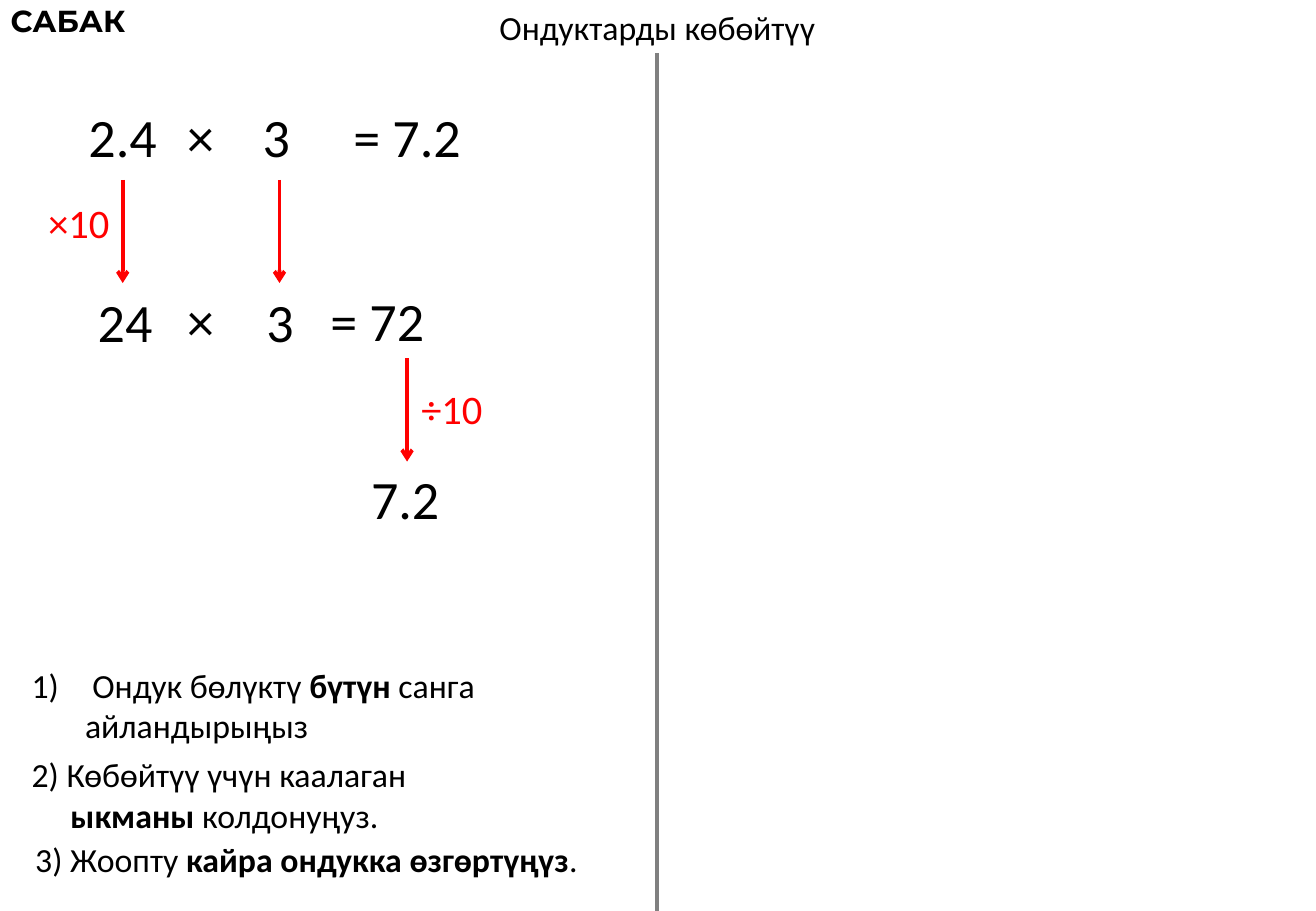
from lxml import etree
from pptx import Presentation
from pptx.dml.color import RGBColor
from pptx.enum.shapes import MSO_CONNECTOR
from pptx.enum.text import MSO_ANCHOR, MSO_AUTO_SIZE, PP_ALIGN
from pptx.oxml.ns import qn
from pptx.util import Inches, Pt

LEFT, CENTER, RIGHT = PP_ALIGN.LEFT, PP_ALIGN.CENTER, PP_ALIGN.RIGHT
BLACK, RED, GRAY = "000000", "FF0000", "808080"

TITLE = "Ондуктарды көбөйтүү"
LESSON = "САБАК"

# text, left, top, width, alignment
NUMBERS = [
    ("2.4", 0.62, 0.8, 0.77, RIGHT),
    ("×", 1.43, 0.8, 0.43, RIGHT),
    ("3", 2.06, 0.8, 0.43, CENTER),
    ("= 7.2", 2.81, 0.8, 1.1, LEFT),
    ("24", 0.7, 2.33, 0.66, CENTER),
    ("×", 1.43, 2.32, 0.43, RIGHT),
    ("3", 2.09, 2.33, 0.43, CENTER),
    ("= 72", 2.62, 2.32, 0.98, LEFT),
    ("7.2", 2.95, 3.78, 0.77, CENTER),
]
FACTORS = [("×10", 0.29, 1.58, 0.71, RIGHT), ("÷10", 3.36, 3.11, 0.71, RIGHT)]

# x, top
ARROWS = [(1.01, 1.48), (2.3, 1.48), (3.35, 2.95)]
ARROW_LENGTH = 0.85

# left margin, first-line indent, space before, numbered, runs of (text, bold)
STEP_LINES = [
    (0.5, -0.5, 0, True, [("Ондук бөлүктү ", False), ("бүтүн", True), (" санга", False)]),
    (0.44, 0, 0, False, [("айландырыңыз", False)]),
    (0, 0, 5, False, [("2) Көбөйтүү үчүн каалаган", False)]),
    (0.32, 0, 0, False, [("ыкманы", True), (" колдонуңуз.", False)]),
    (0.03, 0, 2, False, [("3) Жоопту ", False), ("кайра ондукка өзгөртүңүз", True), (".", False)]),
]


def rgb(value):
    return RGBColor.from_string(value)


def set_font(font, size, color=BLACK, name="Calibri", bold=False):
    for key, value in {"size": Pt(size), "name": name, "bold": bold}.items():
        setattr(font, key, value)
    font.color.rgb = rgb(color)


def place(shape, left, top, width, height):
    for key, value in {"left": left, "top": top, "width": width, "height": height}.items():
        setattr(shape, key, Inches(value))


def add_label(text, left, top, width, height, align, **font_format):
    box = slide.shapes.add_textbox(*map(Inches, (left, top, width, height)))
    box.text_frame.word_wrap = False
    paragraph = box.text_frame.paragraphs[0]
    paragraph.text = text
    paragraph.alignment = align
    set_font(paragraph.runs[0].font, **font_format)


def add_vertical(x, top, bottom, color, arrow=False):
    line = slide.shapes.add_connector(
        MSO_CONNECTOR.STRAIGHT, Inches(x), Inches(top), Inches(x), Inches(bottom))
    line.line.color.rgb = rgb(color)
    line.line.width = Pt(2.25)
    if arrow:
        etree.SubElement(line.line._get_or_add_ln(), qn("a:tailEnd"), type="arrow")
    etree.SubElement(line._element.spPr, qn("a:effectLst"))


def add_step_line(paragraph, margin, indent, space_before, numbered, runs):
    properties = paragraph._p.get_or_add_pPr()
    properties.set("marL", str(Inches(margin)))
    properties.set("indent", str(Inches(indent)))
    if numbered:
        etree.SubElement(properties, qn("a:buFont"), typeface="+mj-lt")
        etree.SubElement(properties, qn("a:buAutoNum"), type="arabicParenR")
    else:
        etree.SubElement(properties, qn("a:buNone"))
    paragraph.space_before = Pt(space_before)
    for text, bold in runs:
        run = paragraph.add_run()
        run.text = text
        set_font(run.font, 20, bold=bold)


prs = Presentation()
prs.slide_width, prs.slide_height = Inches(10.83), Inches(7.5)
slide = prs.slides.add_slide(prs.slide_layouts[1])

title = slide.shapes.title
place(title, 4, 0, 2.82, 0.44)
title.text = TITLE
title.text_frame.word_wrap = False
title.text_frame.auto_size = MSO_AUTO_SIZE.NONE
set_font(title.text_frame.paragraphs[0].runs[0].font, 20)

steps = slide.placeholders[1]
place(steps, 0.16, 5.42, 4.9, 1.89)
frame = steps.text_frame
frame.auto_size = MSO_AUTO_SIZE.NONE
frame.vertical_anchor = MSO_ANCHOR.TOP
for index, step_line in enumerate(STEP_LINES):
    add_step_line(frame.add_paragraph() if index else frame.paragraphs[0], *step_line)

add_label(LESSON, -0.01, -0.03, 1.66, 0.4, LEFT, size=18, name="Montserrat", bold=True)
for text, left, top, width, align in NUMBERS:
    add_label(text, left, top, width, 0.64, align, size=32)
for text, left, top, width, align in FACTORS:
    add_label(text, left, top, width, 0.5, align, size=24, color=RED)

for x, top in ARROWS:
    add_vertical(x, top, top + ARROW_LENGTH, RED, arrow=True)
add_vertical(5.41, 0.44, 7.5, GRAY)

prs.save("out.pptx")
